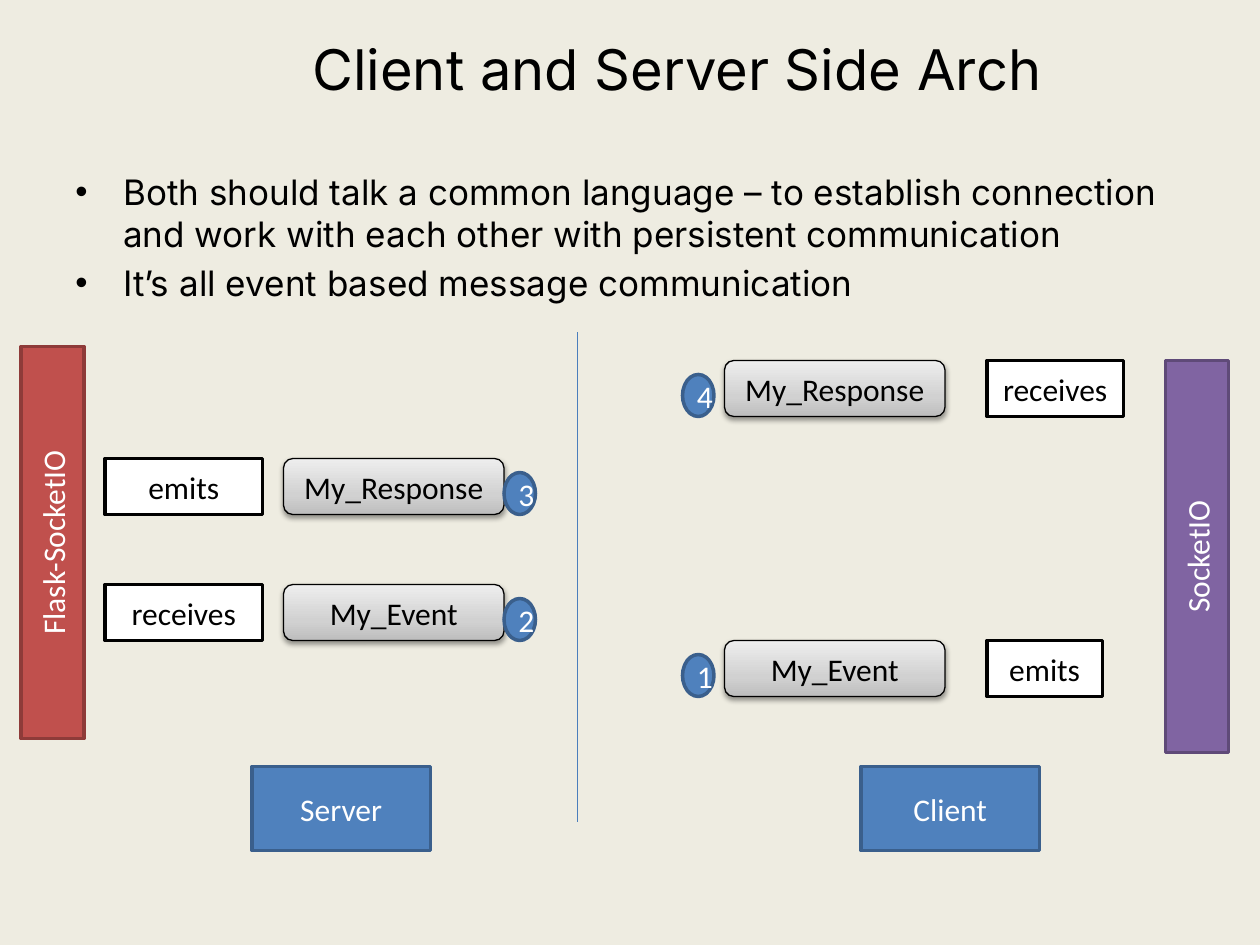
from copy import deepcopy
from dataclasses import dataclass

from lxml import etree
from pptx import Presentation
from pptx.dml.color import RGBColor
from pptx.enum.shapes import MSO_CONNECTOR, MSO_SHAPE
from pptx.enum.text import MSO_ANCHOR, PP_ALIGN
from pptx.oxml.ns import qn
from pptx.util import Inches, Pt

RECT = MSO_SHAPE.RECTANGLE
ROUNDED = MSO_SHAPE.ROUNDED_RECTANGLE
OVAL = MSO_SHAPE.OVAL
STRAIGHT = MSO_CONNECTOR.STRAIGHT
MIDDLE = MSO_ANCHOR.MIDDLE
CENTER = PP_ALIGN.CENTER

COLUMNS, ROWS = 120, 270
TITLE_ONLY = 5


@dataclass(frozen=True)
class Theme:
    background: str = "EEECE1"
    ink: str = "000000"
    paper: str = "FFFFFF"
    blue: tuple = ("4F81BD", "3A5F8C")
    red: tuple = ("C0504D", "8E3B39")
    purple: tuple = ("8064A2", "5F4A78")
    divider: str = "4B7EBC"
    event_stops: tuple = ((0, "BDBDBD"), (0.35, "D1D1D1"), (1, "EEEEEE"))
    heading_font: str = "Inter"
    label_font: str = "Calibri"
    title_size: int = 32
    body_size: int = 20
    label_size: int = 18
    outline: float = 2
    hairline: float = 0.75


class ArchitectureSlide:
    def __init__(self, theme):
        self.theme = theme
        self.deck = Presentation()
        self.deck.slide_width, self.deck.slide_height = Inches(10), Inches(7.5)
        self.slide = self.deck.slides.add_slide(self.deck.slide_layouts[TITLE_ONLY])
        backdrop = self.slide.background.fill
        backdrop.solid()
        backdrop.fore_color.rgb = RGBColor.from_string(theme.background)

    def x(self, columns):
        return round(self.deck.slide_width * columns / COLUMNS)

    def y(self, rows):
        return round(self.deck.slide_height * rows / ROWS)

    def box(self, left, top, width, height):
        return self.x(left), self.y(top), self.x(width), self.y(height)

    def add_words(self, paragraph, words, font, size, color):
        run = paragraph.add_run()
        run.text = words
        run.font.name = font
        run.font.size = Pt(size)
        run.font.color.rgb = RGBColor.from_string(color)

    def title(self, words, *place):
        heading = self.slide.shapes.title
        heading.left, heading.top, heading.width, heading.height = self.box(*place)
        heading.text_frame.vertical_anchor = MIDDLE
        paragraph = heading.text_frame.paragraphs[0]
        paragraph.alignment = CENTER
        self.add_words(paragraph, words, self.theme.heading_font, self.theme.title_size, self.theme.ink)

    def bullets(self, points, *place):
        frame = self.slide.shapes.add_textbox(*self.box(*place)).text_frame
        frame.word_wrap = True
        for index, point in enumerate(points):
            paragraph = frame.add_paragraph() if index else frame.paragraphs[0]
            paragraph.space_before = Pt(self.theme.body_size * 0.2)
            properties = paragraph._p.get_or_add_pPr()
            properties.set("marL", str(Inches(0.38)))
            properties.set("indent", str(-Inches(0.38)))
            etree.SubElement(properties, qn("a:buFont"), typeface="Arial")
            etree.SubElement(properties, qn("a:buChar"), char="•")
            self.add_words(paragraph, point, self.theme.heading_font, self.theme.body_size, self.theme.ink)

    def block(self, words, place, fill, line, ink, kind=RECT, weight=None):
        shape = self.slide.shapes.add_shape(kind, *self.box(*place))
        shape.shadow.inherit = False
        shape.fill.solid()
        shape.fill.fore_color.rgb = RGBColor.from_string(fill)
        shape.line.color.rgb = RGBColor.from_string(line)
        shape.line.width = Pt(weight or self.theme.outline)
        shape.text_frame.vertical_anchor = MIDDLE
        paragraph = shape.text_frame.paragraphs[0]
        paragraph.alignment = CENTER
        self.add_words(paragraph, words, self.theme.label_font, self.theme.label_size, ink)
        return shape

    def side(self, name, left):
        self.block(name, (left, 219, 17, 24), *self.theme.blue, self.theme.paper)

    def library(self, name, left, top, colors):
        pillar = self.block(name, (left, top, 6, 112), *colors, self.theme.paper)
        middle_x = pillar.left + pillar.width // 2
        middle_y = pillar.top + pillar.height // 2
        pillar.width, pillar.height = pillar.height, pillar.width
        pillar.left = middle_x - pillar.width // 2
        pillar.top = middle_y - pillar.height // 2
        pillar.rotation = 270

    def event(self, name, left, top):
        theme = self.theme
        pill = self.block(name, (left, top, 21, 16), theme.paper, theme.ink, theme.ink,
                          ROUNDED, theme.hairline)
        pill.fill.gradient()
        pill.fill.gradient_angle = 90
        stops = pill._element.spPr.find(qn("a:gradFill")).find(qn("a:gsLst"))
        stops.append(deepcopy(stops[-1]))
        for stop, (position, color) in zip(pill.fill.gradient_stops, theme.event_stops):
            stop.position = position
            stop.color.rgb = RGBColor.from_string(color)
        effects = pill._element.spPr.find(qn("a:effectLst"))
        shadow = etree.SubElement(effects, qn("a:outerShdw"), blurRad=str(Pt(3.1)),
                                  dist=str(Pt(1.6)), dir="5400000", rotWithShape="0")
        shade = etree.SubElement(shadow, qn("a:srgbClr"), val=theme.ink)
        etree.SubElement(shade, qn("a:alpha"), val="38000")

    def message(self, step, name, action, top, event_left, step_left, action_left, action_width):
        theme = self.theme
        self.event(name, event_left, top)
        self.block(step, (step_left, top + 4, 3, 12), *theme.blue, theme.paper, OVAL)
        self.block(action, (action_left, top, action_width, 16), theme.paper, theme.ink, theme.ink)

    def divider(self, column, top, bottom):
        rule = self.slide.shapes.add_connector(
            STRAIGHT, self.x(column), self.y(top), self.x(column), self.y(bottom))
        rule.line.color.rgb = RGBColor.from_string(self.theme.divider)
        rule.line.width = Pt(self.theme.hairline)
        etree.SubElement(rule._element.spPr, qn("a:effectLst"))


theme = Theme()
page = ArchitectureSlide(theme)
page.title("Client and Server Side Arch", 15, 4, 99, 31)
page.bullets([
    "Both should talk a common language – to establish connection "
    "and work with each other with persistent communication",
    "It’s all event based message communication",
], 6, 47, 108, 194)

page.side("Client", 82)
page.side("Server", 24)
page.divider(55, 95, 235)

server_columns = (27, 48, 10)
client_columns = (69, 65, 94)
for step, name, action, top, columns, action_width in (
    ("1", "My_Event", "emits", 183, client_columns, 11),
    ("2", "My_Event", "receives", 167, server_columns, 15),
    ("3", "My_Response", "emits", 131, server_columns, 15),
    ("4", "My_Response", "receives", 103, client_columns, 13),
):
    page.message(step, name, action, top, *columns, action_width)

page.library("Flask-SocketIO", 2, 99, theme.red)
page.library("SocketIO", 111, 103, theme.purple)
page.deck.save("out.pptx")
